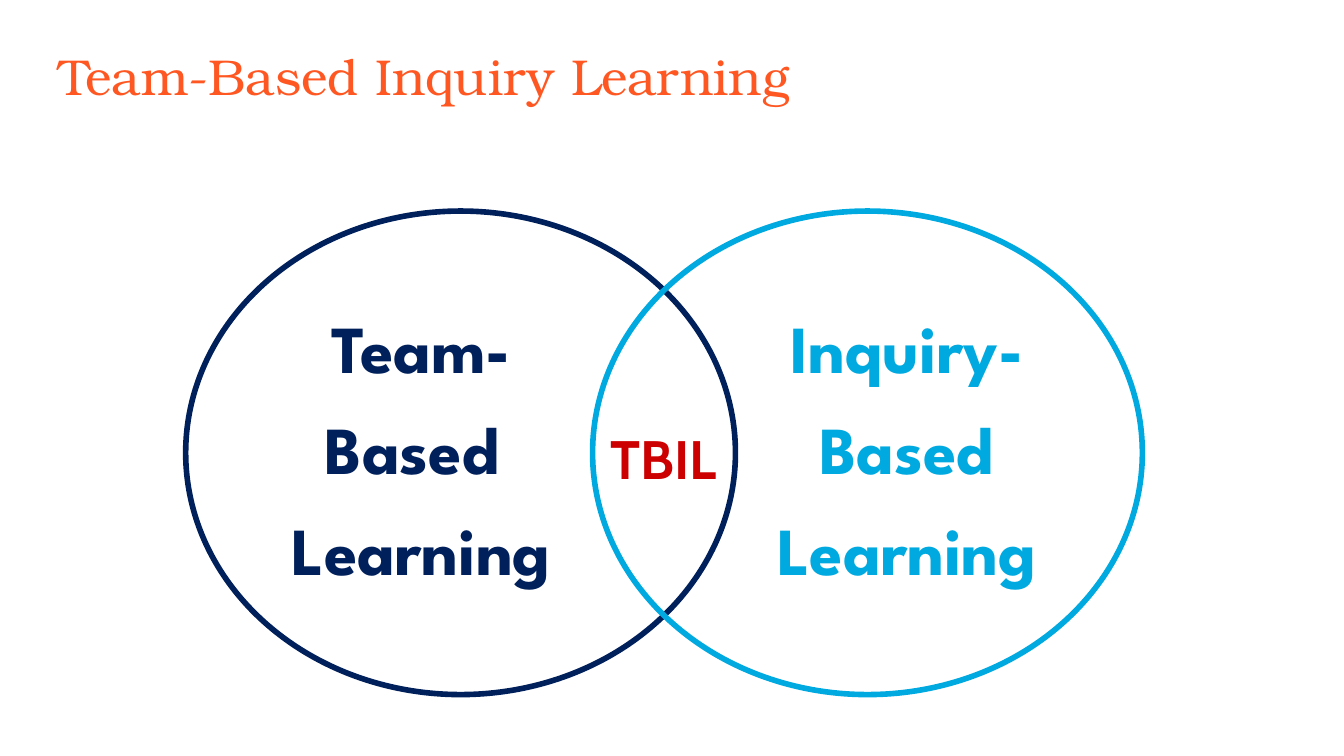
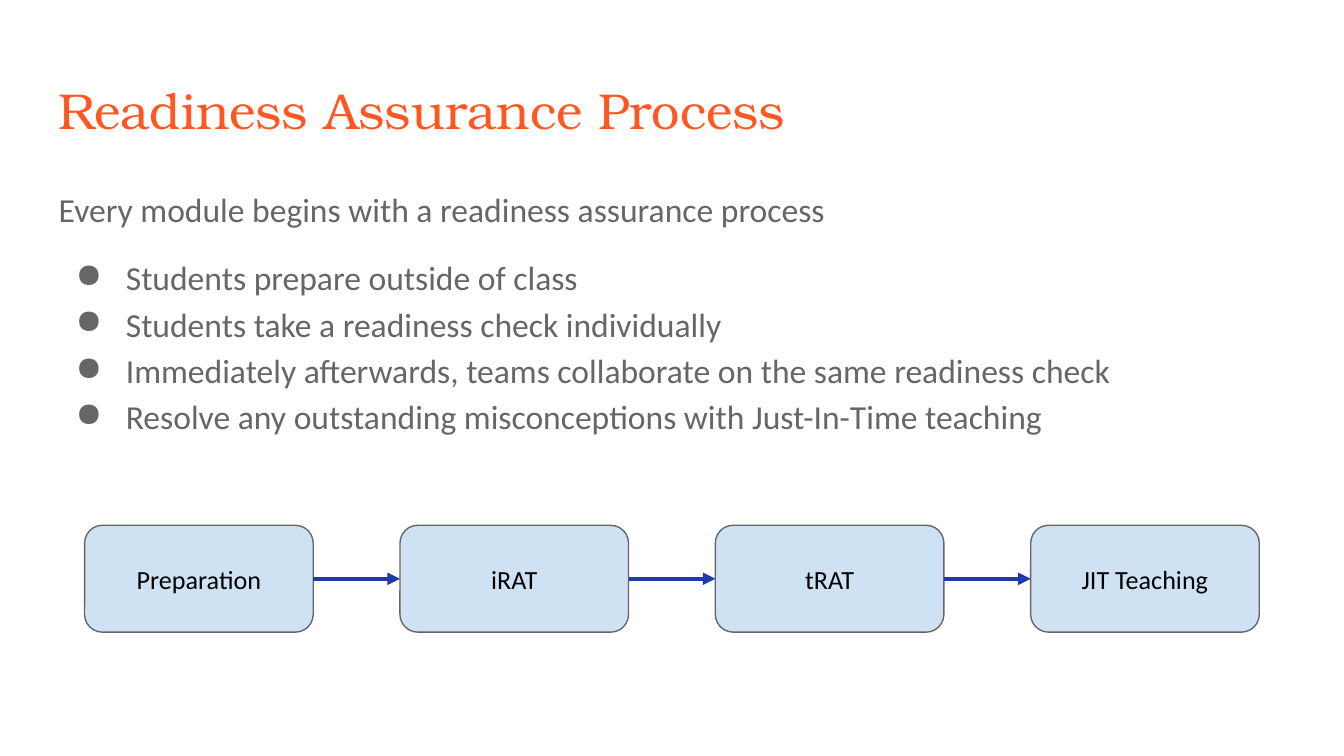
from dataclasses import dataclass
from typing import NamedTuple

from lxml import etree
from pptx import Presentation
from pptx.dml.color import RGBColor
from pptx.enum.shapes import MSO_CONNECTOR, MSO_SHAPE
from pptx.enum.text import MSO_ANCHOR, PP_ALIGN
from pptx.oxml.ns import qn
from pptx.util import Cm, Pt

LEFT, CENTER = PP_ALIGN.LEFT, PP_ALIGN.CENTER
TOP, MIDDLE = MSO_ANCHOR.TOP, MSO_ANCHOR.MIDDLE
OVAL, ROUND = MSO_SHAPE.OVAL, MSO_SHAPE.ROUNDED_RECTANGLE
STRAIGHT = MSO_CONNECTOR.STRAIGHT
SIDE_LEFT, SIDE_RIGHT = 1, 3


@dataclass(frozen=True)
class Theme:
    # Colours
    white: str = "FFFFFF"
    black: str = "000000"
    orange: str = "FF5722"
    navy: str = "00205B"
    cyan: str = "00A9E0"
    red: str = "CC0000"
    gray: str = "666666"
    pale: str = "CFE2F3"
    blue: str = "1C3AA9"
    # Fonts
    serif: str = "TeX Gyre Bonum"
    sans: str = "Calibri"
    bold: str = "League Spartan"
    core: str = "Cabin"
    # Type sizes in points
    title: int = 27
    body: int = 18
    step: int = 14
    label: int = 36
    mark: int = 29


T = Theme()


class Box(NamedTuple):
    """A region in centimetres."""
    x: float
    y: float
    w: float
    h: float

    def inner(self, dx, dy, w, h):
        return Box(self.x + dx, self.y + dy, w, h)

    def emu(self):
        return [Cm(v) for v in self]


def rgb(code):
    return RGBColor.from_string(code)


def add_bullet(para, color):
    props = para._p.get_or_add_pPr()
    props.set("marL", str(Cm(1.27)))
    props.set("indent", str(Cm(-0.95)))
    tint = etree.SubElement(props, qn("a:buClr"))
    etree.SubElement(tint, qn("a:srgbClr"), val=color)
    etree.SubElement(props, qn("a:buChar"), char="●")


def put_text(shape, *lines, size, font, color, bold=False, align=LEFT,
             anchor=TOP, inset=0.25, spacing=1.0, gaps=(), bullets=0):
    """Write lines into a shape; the last `bullets` lines get a bullet."""
    frame = shape.text_frame
    frame.word_wrap = True
    frame.vertical_anchor = anchor
    frame.margin_left = frame.margin_right = Cm(inset)
    frame.margin_top = frame.margin_bottom = Cm(inset)
    for i, line in enumerate(lines):
        para = frame.paragraphs[0] if i == 0 else frame.add_paragraph()
        para.alignment = align
        para.line_spacing = spacing
        para.space_before = Pt(gaps[i] if i < len(gaps) else 0)
        if i >= len(lines) - bullets:
            add_bullet(para, color)
        run = para.add_run()
        run.text = line
        run.font.size, run.font.name, run.font.bold = Pt(size), font, bold
        run.font.color.rgb = rgb(color)


def add_text(slide, box, *lines, **style):
    put_text(slide.shapes.add_textbox(*box.emu()), *lines, **style)


def add_form(slide, kind, box, line, width, fill=None):
    form = slide.shapes.add_shape(kind, *box.emu())
    form.shadow.inherit = False
    if fill:
        form.fill.solid()
        form.fill.fore_color.rgb = rgb(fill)
    else:
        form.fill.background()
    form.line.color.rgb = rgb(line)
    form.line.width = Pt(width)
    return form


def add_arrow(slide, start, end):
    arrow = slide.shapes.add_connector(STRAIGHT, 0, 0, 0, 0)
    arrow.begin_connect(start, SIDE_RIGHT)
    arrow.end_connect(end, SIDE_LEFT)
    arrow.line.color.rgb = rgb(T.blue)
    arrow.line.width = Pt(2.25)
    props = arrow._element.spPr
    etree.SubElement(props.find(qn("a:ln")), qn("a:tailEnd"),
                     type="triangle")
    etree.SubElement(props, qn("a:effectLst"))


def add_title(slide, box, text):
    add_text(slide, box, text, size=T.title, font=T.serif, color=T.orange)


def add_venn(slide, box, left, right, center):
    """Two overlapping ovals, each named, with a word in the overlap."""
    oval_w, label_w, label_h, edge = 10.39, 6, 7, 1.45
    far = box.w - oval_w
    sides = (
        (0, edge, left, T.navy, T.white),
        (far, box.w - edge - label_w, right, T.cyan, None),
    )
    for oval_x, label_x, words, color, fill in sides:
        add_form(slide, OVAL, box.inner(oval_x, 0, oval_w, box.h),
                 color, 3, fill)
        add_text(slide, box.inner(label_x, (box.h - label_h) / 2,
                                  label_w, label_h), *words,
                 size=T.label, font=T.bold, color=color, bold=True,
                 align=CENTER, anchor=MIDDLE, inset=0, spacing=0.9,
                 gaps=(0, 15.4, 15.4))
    # Overlap
    mark_w = 2.54
    add_text(slide, box.inner((box.w - mark_w) / 2, 3.81, mark_w, 1.75),
             center, size=T.mark, font=T.core, color=T.red, bold=True,
             align=CENTER)


def add_body(slide, box, lead, points):
    add_text(slide, box, lead, *points, size=T.body, font=T.sans,
             color=T.gray, spacing=1.15, gaps=(0, 12), bullets=len(points))


def add_steps(slide, box, names):
    """Evenly spaced boxes joined by arrows."""
    step_w = 4.32
    pitch = (box.w - step_w) / (len(names) - 1)
    steps = []
    for i, name in enumerate(names):
        step = add_form(slide, ROUND, box.inner(i * pitch, 0, step_w, box.h),
                        T.gray, 0.75, T.pale)
        put_text(step, name, size=T.step, font=T.sans, color=T.black,
                 align=CENTER, anchor=MIDDLE)
        steps.append(step)
    for start, end in zip(steps, steps[1:]):
        add_arrow(slide, start, end)


def new_slide(deck):
    slide = deck.slides.add_slide(deck.slide_layouts[6])
    slide.background.fill.solid()
    slide.background.fill.fore_color.rgb = rgb(T.white)
    return slide


def main():
    deck = Presentation()
    deck.slide_width, deck.slide_height = Cm(25.4), Cm(14.29)
    head = Box(0.86, 0.61, 23.67, 1.6)

    # Slide 1: the two methods and their overlap
    slide = new_slide(deck)
    add_venn(slide, Box(3.51, 3.99, 18.08, 9.14),
             ("Team-", "Based ", "Learning"),
             ("Inquiry-", "Based", "Learning"), "TBIL")
    add_title(slide, head, "Team-Based Inquiry Learning")

    # Slide 2: the readiness process
    slide = new_slide(deck)
    add_title(slide, head._replace(y=1.24), "Readiness Assurance Process")
    add_body(slide, head._replace(y=3.2, h=5.69),
             "Every module begins with a readiness assurance process", (
                 "Students prepare outside of class",
                 "Students take a readiness check individually",
                 "Immediately afterwards, teams collaborate on the same "
                 "readiness check",
                 "Resolve any outstanding misconceptions with Just-In-Time "
                 "teaching",
             ))
    add_steps(slide, Box(1.6, 9.93, 22.2, 2.02),
              ("Preparation", "iRAT", "tRAT", "JIT Teaching"))

    deck.save("out.pptx")


if __name__ == "__main__":
    main()
